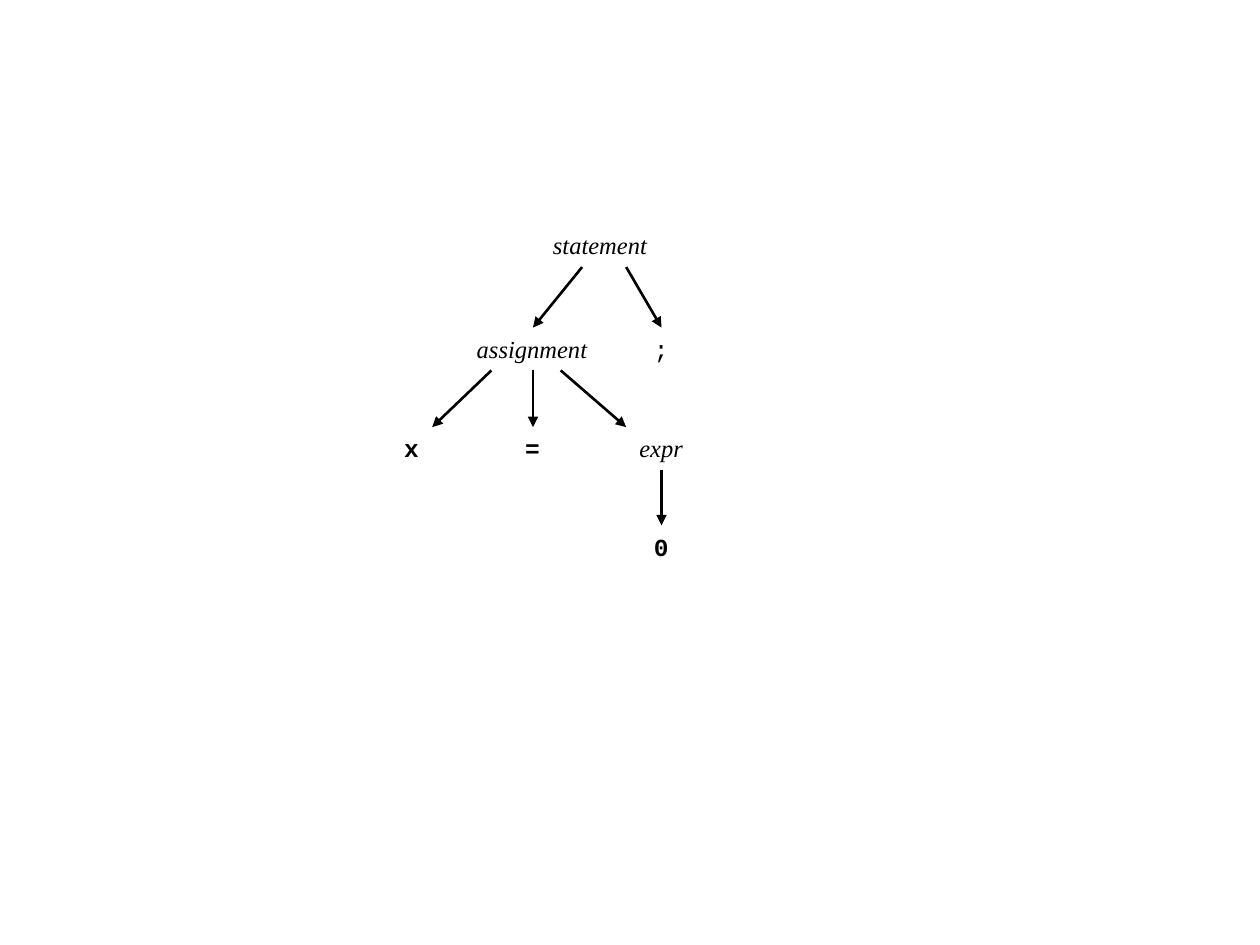
from dataclasses import dataclass

from lxml.etree import SubElement
from pptx import Presentation
from pptx.dml.color import RGBColor
from pptx.enum.shapes import MSO_CONNECTOR
from pptx.enum.text import MSO_AUTO_SIZE
from pptx.oxml.ns import qn
from pptx.util import Inches, Pt


@dataclass(frozen=True)
class Theme:
    """Colours, fonts, sizes and grid of the parse tree."""
    ink: RGBColor = RGBColor(0, 0, 0)
    rule_font: str = "Times New Roman"
    token_font: str = "Courier New"
    text_size: float = 14
    arrow_width: float = 1.5
    column: float = 0.1
    levels: tuple = (1.78, 2.6, 3.39, 4.17)
    node_height: float = 0.34


class TreeSlide:
    """Draws nodes and arrows on a grid of columns and tree levels."""

    def __init__(self, slide, theme):
        """Keep the slide and its style."""
        self.slide, self.theme = slide, theme

    def node(self, text, center, level, width, font, bold=False, italic=False):
        """Place a label centred on a column at a tree level."""
        theme = self.theme
        box = self.slide.shapes.add_textbox(
            Inches((center - width / 2) * theme.column), Inches(theme.levels[level]),
            Inches(width * theme.column), Inches(theme.node_height))
        frame = box.text_frame
        frame.word_wrap = False
        frame.auto_size = MSO_AUTO_SIZE.SHAPE_TO_FIT_TEXT
        label = frame.paragraphs[0]
        label.text = text
        label.font.name, label.font.size = font, Pt(theme.text_size)
        label.font.bold, label.font.italic = bold, italic
        label.font.color.rgb = theme.ink

    def rule(self, text, center, level, width):
        """Place a grammar rule in italics."""
        self.node(text, center, level, width, self.theme.rule_font, italic=True)

    def token(self, text, center, level, bold=True):
        """Place a source token in a fixed-width font."""
        self.node(text, center, level, 3.2, self.theme.token_font, bold=bold)

    def arrow(self, level, start, end):
        """Join the bottom of a level to the top of the next one."""
        theme = self.theme
        line = self.slide.shapes.add_connector(
            MSO_CONNECTOR.STRAIGHT,
            Inches(start * theme.column), Inches(theme.levels[level] + theme.node_height),
            Inches(end * theme.column), Inches(theme.levels[level + 1]))
        line.line.color.rgb = theme.ink
        line.line.width = Pt(theme.arrow_width)
        SubElement(line.line._get_or_add_ln(), qn("a:tailEnd"), type="triangle")
        SubElement(line._element.spPr, qn("a:effectLst"))


deck = Presentation()
deck.slide_width, deck.slide_height = Inches(10), Inches(7.5)
tree = TreeSlide(deck.slides.add_slide(deck.slide_layouts[6]), Theme())

X_COLUMN, ASSIGN_COLUMN, STATEMENT_COLUMN, RIGHT_COLUMN = 32.7, 42.3, 47.7, 52.5

for name, column, level, width in (
        ("statement", STATEMENT_COLUMN, 0, 9.6),
        ("assignment", ASSIGN_COLUMN, 1, 10.9),
        ("expr", RIGHT_COLUMN, 2, 5.5)):
    tree.rule(name, column, level, width)

tree.token(";", RIGHT_COLUMN, 1, bold=False)
for symbol, column, level in (
        ("x", X_COLUMN, 2), ("=", ASSIGN_COLUMN, 2), ("0", RIGHT_COLUMN, 3)):
    tree.token(symbol, column, level)

for level, start, end in (
        (0, 46.2, ASSIGN_COLUMN),
        (0, 49.7, RIGHT_COLUMN),
        (1, 39, 34.3),
        (1, ASSIGN_COLUMN, ASSIGN_COLUMN),
        (1, 44.5, 49.7),
        (2, RIGHT_COLUMN, RIGHT_COLUMN)):
    tree.arrow(level, start, end)

deck.save("out.pptx")
